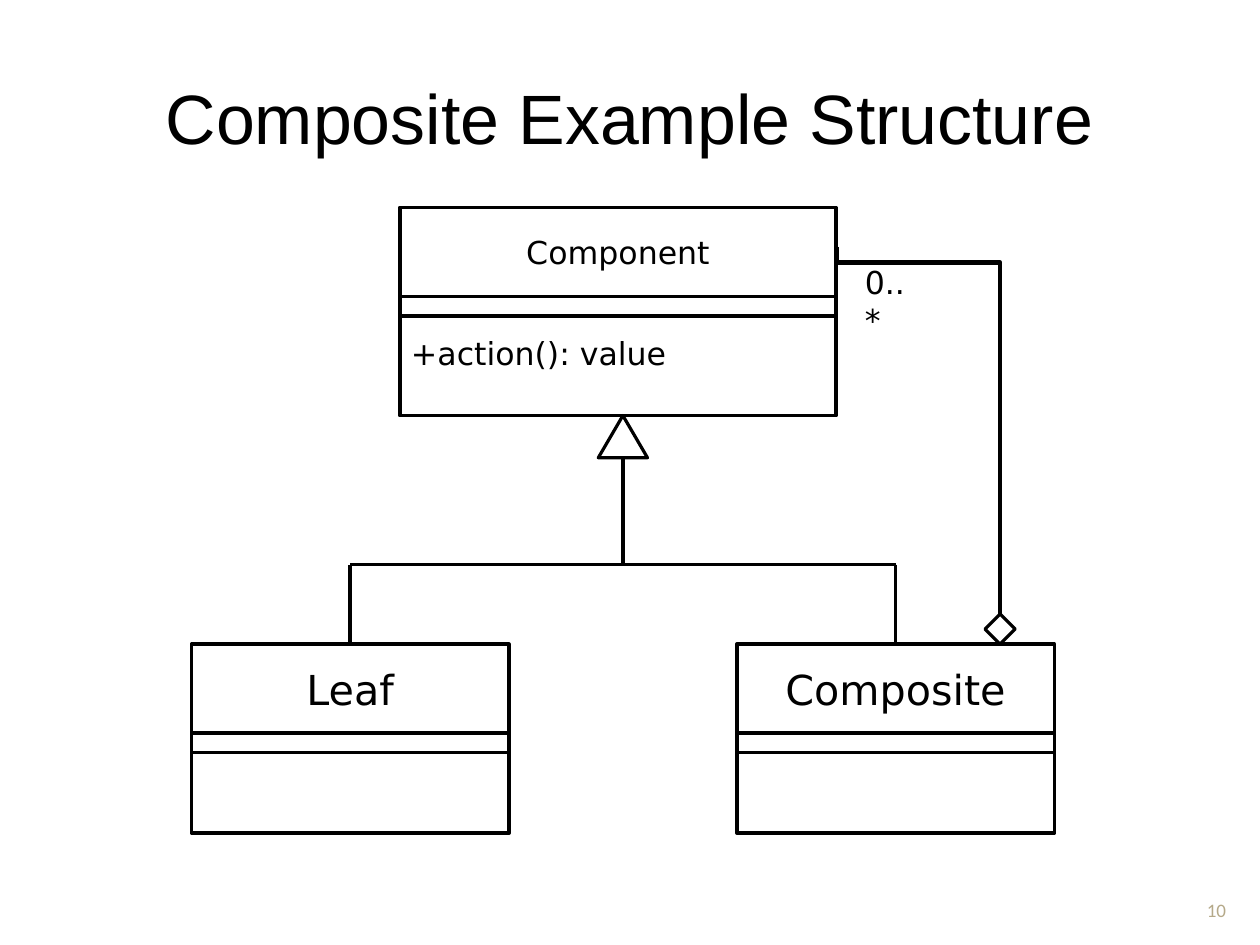
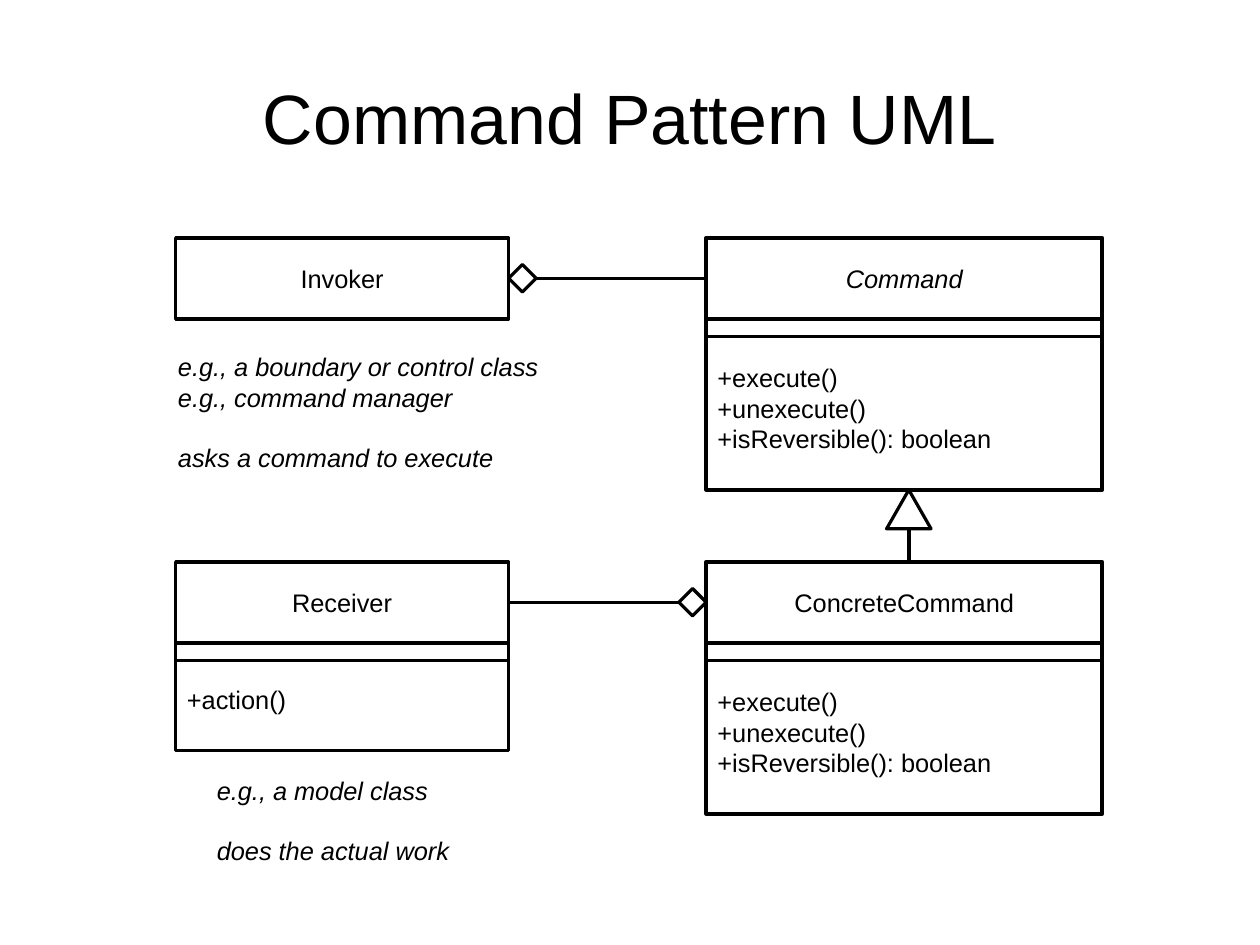
from dataclasses import dataclass

from lxml import etree
from pptx import Presentation
from pptx.dml.color import RGBColor
from pptx.enum.shapes import MSO_CONNECTOR as Link, MSO_SHAPE as Shape
from pptx.enum.text import MSO_ANCHOR as Anchor, MSO_AUTO_SIZE as AutoSize, PP_ALIGN as Align
from pptx.oxml.ns import qn
from pptx.util import Pt


@dataclass(frozen=True)
class Theme:
    ink: RGBColor = RGBColor(0, 0, 0)
    paper: RGBColor = RGBColor(255, 255, 255)
    number: RGBColor = RGBColor(0xB5, 0xA9, 0x89)
    title_font: str = "Arial"
    number_font: str = "Calibri"
    title_size: float = 44
    number_size: float = 12
    line: float = 2.25
    marker_line: float = 2
    loop_line: float = 2.83
    inset_x: float = 7.2
    inset_y: float = 3.6
    blank_line: float = 1.2


THEME = Theme()
POINTS_PER_CM = 72 / 2.54
SLIDE_SIZE = (28 * POINTS_PER_CM, 21 * POINTS_PER_CM)
TITLE_BOX = (39.7, 23.8, 714.3, 99.2)
TOP, MIDDLE_LEFT, MIDDLE_RIGHT = 0, 1, 3

COMMAND_OPERATIONS = ["+execute()", "+unexecute()", "+isReversible(): boolean"]

COMPOSITE = {
    "title": "Composite Example Structure",
    "number": ("10", (746.5, 543, 39.5, 41)),
    "font": "DejaVu Sans",
    "size": 19.9,
    "head": 56,
    "divider": 12.3,
    "classes": {
        "Component": {"at": (251.8, 130.8), "width": 275, "body": 75,
                      "operations": ["+action(): value"]},
        "Leaf": {"at": (120.6, 405.8), "width": 200, "body": 63, "size": 26},
        "Composite": {"at": (464.2, 405.8), "width": 200, "body": 63, "size": 26},
    },
    "notes": [{"box": (537.7, 162, 47.5, 31), "lines": [("0..*", 0)]}],
}

COMMAND = {
    "title": "Command Pattern UML",
    "font": "Arial",
    "size": 16,
    "head": 51,
    "divider": 11.2,
    "classes": {
        "Invoker": {"at": (110.7, 149.8), "width": 209.7},
        "Command": {"at": (444.9, 149.8), "width": 249.5, "body": 107.8,
                    "operations": COMMAND_OPERATIONS, "italic": True},
        "Receiver": {"at": (110.7, 353.9), "width": 209.7, "body": 67.8,
                     "operations": ["+action()"]},
        "ConcreteCommand": {"at": (444.9, 353.9), "width": 249.5, "body": 107.8,
                            "operations": COMMAND_OPERATIONS},
    },
    "notes": [
        {"box": (105, 217.8, 312, 83.5), "italic": True,
         "lines": [("e.g., a boundary or control class", 0),
                   ("e.g., command manager", 0),
                   ("asks a command to execute", 19)]},
        {"box": (129.5, 484.5, 161.5, 65), "italic": True,
         "lines": [("e.g., a model class", 0), ("does the actual work", 18.7)]},
    ],
}


def assign(target, **values):
    for name, value in values.items():
        setattr(target, name, value)


def points(*lengths):
    return [Pt(length) for length in lengths]


def write(frame, lines, font, size, color=THEME.ink, align=Align.LEFT,
          anchor=Anchor.TOP, italic=False, inset_x=THEME.inset_x,
          inset_y=THEME.inset_y, extra_bottom=0):
    assign(frame, word_wrap=True, auto_size=AutoSize.NONE, vertical_anchor=anchor,
           margin_left=Pt(inset_x), margin_right=Pt(inset_x),
           margin_top=Pt(inset_y), margin_bottom=Pt(inset_y + extra_bottom))
    for index, (text, before) in enumerate(lines):
        paragraph = frame.add_paragraph() if index else frame.paragraphs[0]
        assign(paragraph, text=text, alignment=align, space_before=Pt(before))
        assign(paragraph.font, name=font, size=Pt(size), italic=italic)
        paragraph.font.color.rgb = color


def outline(slide, kind, box, width=THEME.line, filled=False):
    shape = slide.shapes.add_shape(kind, *points(*box))
    shape.shadow.inherit = False
    if filled:
        shape.fill.solid()
        shape.fill.fore_color.rgb = THEME.paper
    else:
        shape.fill.background()
    shape.line.color.rgb = THEME.ink
    shape.line.width = Pt(width)
    return shape


def connect(slide, start, end, kind=Link.STRAIGHT, width=THEME.line):
    line = slide.shapes.add_connector(kind, *points(*start, *end))
    line.line.color.rgb = THEME.ink
    line.line.width = Pt(width)
    etree.SubElement(line._element.spPr, qn("a:effectLst"))
    return line


def inheritance_triangle(slide, tip_x, tip_y, width, height):
    outline(slide, Shape.ISOSCELES_TRIANGLE, (tip_x - width / 2, tip_y, width, height),
            THEME.marker_line, filled=True)


def aggregation_diamond(slide, center_x, center_y, size):
    outline(slide, Shape.DIAMOND, (center_x - size / 2, center_y - size / 2, size, size),
            THEME.marker_line, filled=True)


def draw_class(slide, name, spec, diagram):
    left, top = spec["at"]
    width, head = spec["width"], diagram["head"]
    font, size = diagram["font"], diagram["size"]
    name_box = outline(slide, Shape.RECTANGLE, (left, top, width, head))
    write(name_box.text_frame, [(name, 0)], font, spec.get("size", size),
          align=Align.CENTER, anchor=Anchor.MIDDLE, italic=spec.get("italic", False))
    if "body" in spec:
        body_top = top + head
        body = outline(slide, Shape.RECTANGLE, (left, body_top, width, spec["body"]))
        if "operations" in spec:
            write(body.text_frame, [(text, 0) for text in spec["operations"]], font, size,
                  anchor=Anchor.BOTTOM, extra_bottom=size * THEME.blank_line)
        divider_y = body_top + diagram["divider"]
        connect(slide, (left, divider_y), (left + width, divider_y))
    return name_box


def draw_base(deck, diagram):
    slide = deck.slides.add_slide(deck.slide_layouts[5])
    title = slide.shapes.title
    assign(title, **dict(zip(("left", "top", "width", "height"), points(*TITLE_BOX))))
    write(title.text_frame, [(diagram["title"], 0)], THEME.title_font, THEME.title_size,
          align=Align.CENTER, anchor=Anchor.MIDDLE, inset_x=0, inset_y=0)
    if "number" in diagram:
        number, box = diagram["number"]
        write(slide.shapes.add_textbox(*points(*box)).text_frame, [(number, 0)],
              THEME.number_font, THEME.number_size, THEME.number,
              Align.CENTER, Anchor.BOTTOM)
    for note in diagram["notes"]:
        write(slide.shapes.add_textbox(*points(*note["box"])).text_frame, note["lines"],
              diagram["font"], diagram["size"], italic=note.get("italic", False))
    boxes = {name: draw_class(slide, name, spec, diagram)
             for name, spec in diagram["classes"].items()}
    return slide, boxes


def draw_loop(slide, start, end, bend):
    (x1, y1), (x2, y2) = start, end
    center_x, center_y = (x1 + x2) / 2, (y1 + y2) / 2
    half_run, half_rise = (y2 - y1) / 2, (x2 - x1) / 2
    loop = connect(slide, (center_x + half_run, center_y - half_rise),
                   (center_x - half_run, center_y + half_rise),
                   Link.ELBOW, THEME.loop_line)
    properties = loop._element.spPr
    properties.find(qn("a:xfrm")).set("rot", "16200000")
    geometry = properties.find(qn("a:prstGeom"))
    guides = geometry.find(qn("a:avLst"))
    if guides is None:
        guides = etree.SubElement(geometry, qn("a:avLst"))
    etree.SubElement(guides, qn("a:gd"), name="adj1", fmla=f"val {round(bend * 100000)}")


def draw_composite(deck):
    slide, boxes = draw_base(deck, COMPOSITE)
    classes = COMPOSITE["classes"]
    children = ["Leaf", "Composite"]
    centers = [classes[name]["at"][0] + classes[name]["width"] / 2 for name in children]
    trunk_x, branch_y = sum(centers) / 2, 355.7
    parent = classes["Component"]
    parent_bottom = parent["at"][1] + COMPOSITE["head"] + parent["body"]
    connect(slide, (trunk_x, parent_bottom), (trunk_x, branch_y))
    connect(slide, (centers[0], branch_y), (centers[1], branch_y))
    for name, center in zip(children, centers):
        branch = connect(slide, (center, branch_y), (center, classes[name]["at"][1]))
        branch.end_connect(boxes[name], TOP)
    inheritance_triangle(slide, trunk_x, parent_bottom, 31, 26.6)
    diamond_x, diamond_size = 630, 19
    child_top = classes["Composite"]["at"][1]
    aggregation_diamond(slide, diamond_x, child_top - diamond_size / 2, diamond_size)
    draw_loop(slide, (parent["at"][0] + parent["width"], 155.5),
              (diamond_x, child_top - diamond_size), 0.043)


def draw_command(deck):
    slide, boxes = draw_base(deck, COMMAND)
    classes, head, size = COMMAND["classes"], COMMAND["head"], 17.3
    for source, target, owner_is_source in [("Invoker", "Command", True),
                                            ("Receiver", "ConcreteCommand", False)]:
        left, top = classes[source]["at"]
        start_x, end_x = left + classes[source]["width"], classes[target]["at"][0]
        y = top + head / 2
        line = connect(slide, (start_x, y), (end_x, y))
        line.begin_connect(boxes[source], MIDDLE_RIGHT)
        line.end_connect(boxes[target], MIDDLE_LEFT)
        diamond_x = start_x + size / 2 if owner_is_source else end_x - size / 2
        aggregation_diamond(slide, diamond_x, y, size)
    parent = classes["Command"]
    parent_bottom = parent["at"][1] + head + parent["body"]
    trunk_x = 572.5
    connect(slide, (trunk_x, parent_bottom), (trunk_x, classes["ConcreteCommand"]["at"][1]))
    inheritance_triangle(slide, trunk_x, parent_bottom, 28, 24.5)


def main():
    deck = Presentation()
    deck.slide_width, deck.slide_height = points(*SLIDE_SIZE)
    draw_composite(deck)
    draw_command(deck)
    deck.save("out.pptx")


if __name__ == "__main__":
    main()
